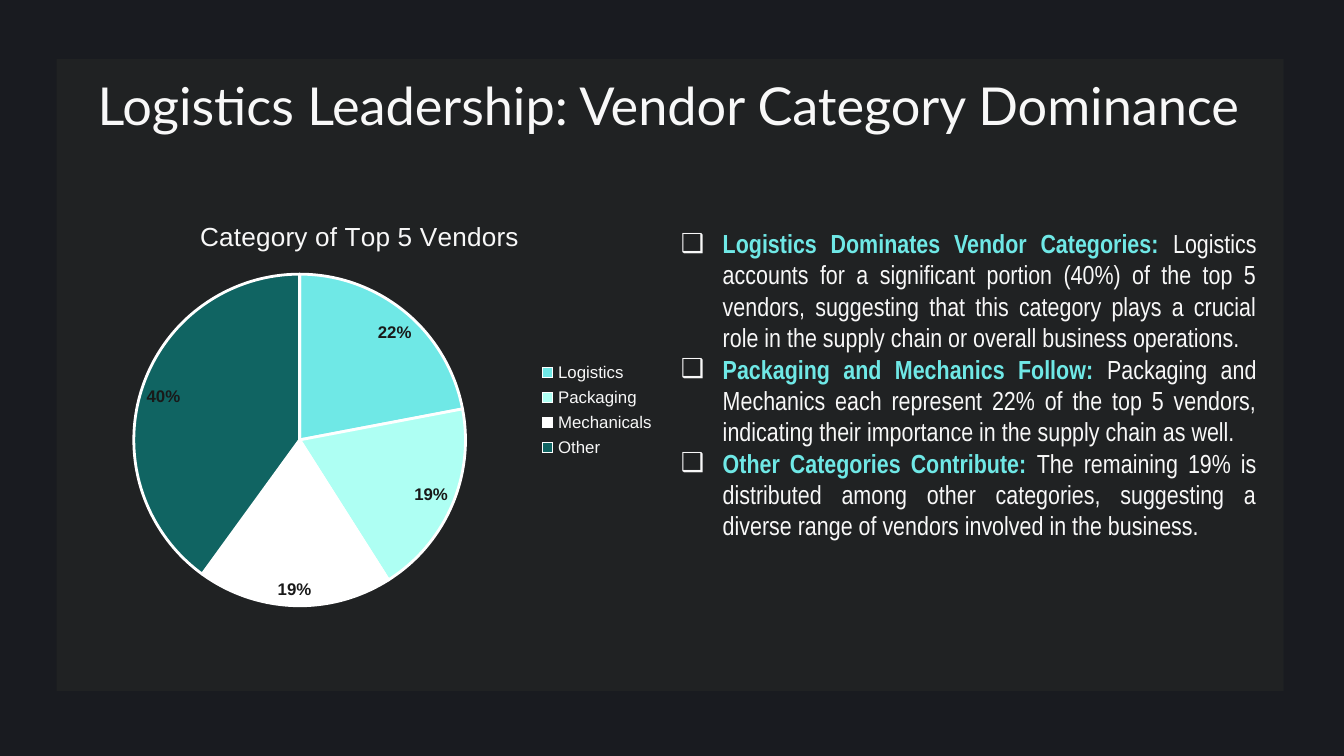
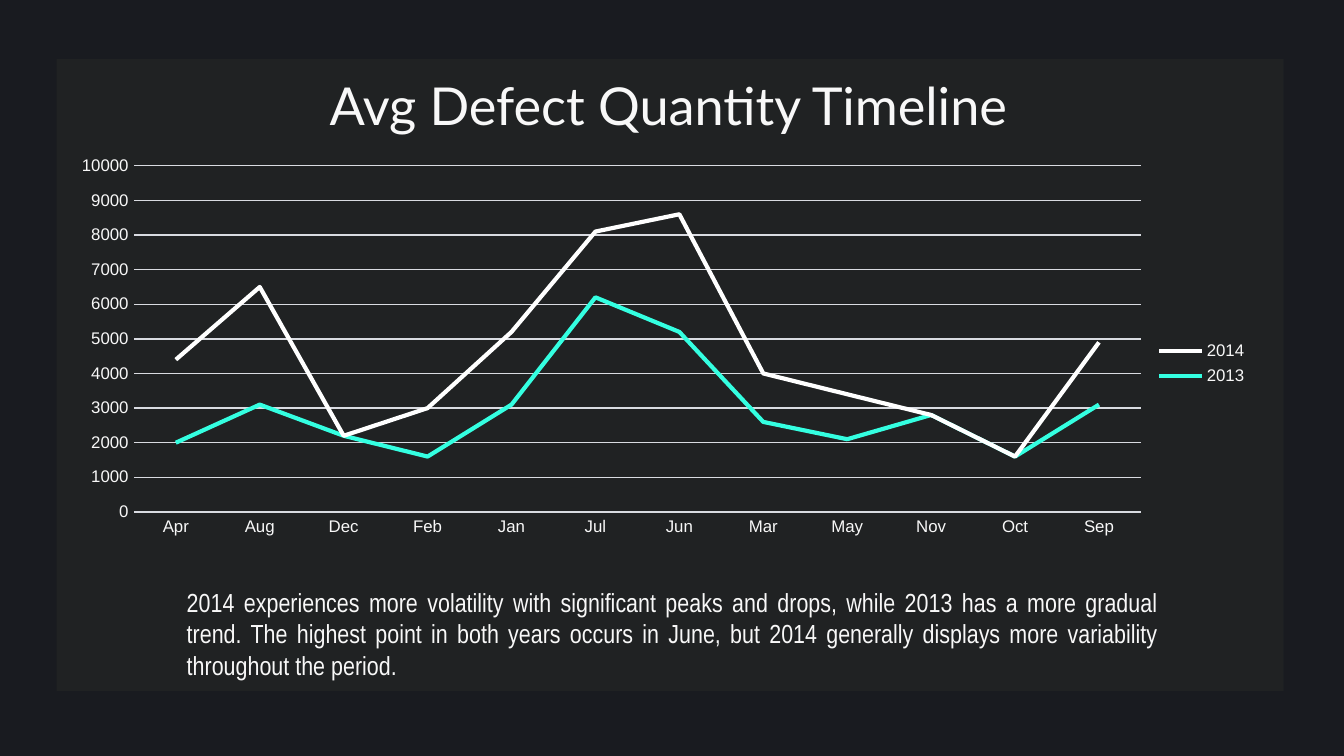
from dataclasses import dataclass

import lxml.etree
import pptx
import pptx.chart.data
import pptx.dml.color
import pptx.enum.chart
import pptx.enum.shapes
import pptx.enum.text
import pptx.oxml.ns
import pptx.util

Cm = pptx.util.Cm
Pt = pptx.util.Pt
qn = pptx.oxml.ns.qn
ALIGN = pptx.enum.text.PP_ALIGN
CHART = pptx.enum.chart.XL_CHART_TYPE


@dataclass(frozen=True)
class Theme:
    background: str = "191B20"
    panel: str = "222525"
    panel_opacity: int = 78
    light: str = "F8F8F8"
    white: str = "FFFFFF"
    accent: str = "6FE8E6"
    mint: str = "AEFFF3"
    teal: str = "106462"
    turquoise: str = "34FFE1"
    grid: str = "D9DBE1"
    label: str = "191919"
    title_font: str = "Lato"
    body_font: str = "Arial Narrow"
    chart_font: str = "Arial"
    title_size: int = 28
    body_size: int = 14
    chart_title_size: int = 14
    chart_size: int = 9


THEME = Theme()

VENDOR_SHARES = {
    "Logistics": (0.22, THEME.accent),
    "Packaging": (0.19, THEME.mint),
    "Mechanicals": (0.19, THEME.white),
    "Other": (0.4, THEME.teal),
}
VENDOR_FINDINGS = [
    ("Logistics Dominates Vendor Categories: ",
     "Logistics accounts for a significant portion (40%) of the top 5 vendors, "
     "suggesting that this category plays a crucial role in the supply chain or "
     "overall business operations."),
    ("Packaging and Mechanics Follow: ",
     "Packaging and Mechanics each represent 22% of the top 5 vendors, "
     "indicating their importance in the supply chain as well."),
    ("Other Categories Contribute: ",
     "The remaining 19% is distributed among other categories, suggesting a "
     "diverse range of vendors involved in the business."),
]
MONTHS = ["Apr", "Aug", "Dec", "Feb", "Jan", "Jul",
          "Jun", "Mar", "May", "Nov", "Oct", "Sep"]
DEFECTS = {
    "2013": ([2000, 3100, 2200, 1600, 3100, 6200,
              5200, 2600, 2100, 2800, 1600, 3100], THEME.turquoise),
    "2014": ([2400, 3400, None, 1400, 2100, 1900,
              3400, 1400, 1300, None, None, 1800], THEME.white),
}
DEFECT_SUMMARY = (
    "2014 experiences more volatility with significant peaks and drops, while "
    "2013 has a more gradual trend. The highest point in both years occurs in "
    "June, but 2014 generally displays more variability throughout the period."
)


def rgb(color):
    return pptx.dml.color.RGBColor.from_string(color)


def paint(fill, color):
    fill.solid()
    fill.fore_color.rgb = rgb(color)


def style_font(font, name, size, color, bold=False):
    font.name = name
    font.size = Pt(size)
    font.bold = bold
    font.color.rgb = rgb(color)


def chart_type(font, size=THEME.chart_size, color=THEME.light, bold=False):
    style_font(font, THEME.chart_font, size, color, bold)


def style_line(line, color, width):
    paint(line.fill, color)
    line.width = Pt(width)


def add_bullet(paragraph):
    properties = paragraph._p.get_or_add_pPr()
    properties.set("marL", str(Cm(0.79)))
    properties.set("indent", str(Cm(-0.79)))
    color = lxml.etree.SubElement(properties, qn("a:buClr"))
    lxml.etree.SubElement(color, qn("a:srgbClr"), val=THEME.light)
    lxml.etree.SubElement(properties, qn("a:buFont"), typeface=THEME.chart_font)
    lxml.etree.SubElement(properties, qn("a:buChar"), char="❑")


def add_text(slide, box, paragraphs, font, size, align, inset=0.13, bullets=False):
    frame = slide.shapes.add_textbox(*map(Cm, box)).text_frame
    frame.word_wrap = True
    frame.margin_top = frame.margin_bottom = Cm(inset)
    for index, pieces in enumerate(paragraphs):
        paragraph = frame.add_paragraph() if index else frame.paragraphs[0]
        paragraph.alignment = align
        if bullets:
            add_bullet(paragraph)
        for text, color, bold in pieces:
            run = paragraph.add_run()
            run.text = text
            style_font(run.font, font, size, color, bold)


def set_layout(parent, **fractions):
    layout = parent.find(qn("c:layout"))
    if layout is None:
        layout = lxml.etree.Element(qn("c:layout"))
        parent.insert(0, layout)
    manual = lxml.etree.SubElement(layout, qn("c:manualLayout"))
    if "w" in fractions:
        lxml.etree.SubElement(manual, qn("c:layoutTarget"), val="inner")
    for side in "xy":
        lxml.etree.SubElement(manual, qn(f"c:{side}Mode"), val="edge")
    for side, fraction in fractions.items():
        lxml.etree.SubElement(manual, qn(f"c:{side}"), val=str(fraction))


def add_chart(slide, box, kind, categories, series, number_format):
    data = pptx.chart.data.CategoryChartData(number_format=number_format)
    data.categories = categories
    for name, values in series.items():
        data.add_series(name, values)
    chart = slide.shapes.add_chart(kind, *map(Cm, box), data).chart
    chart_type(chart.font)
    chart.has_title = False
    chart.has_legend = True
    chart.legend.position = pptx.enum.chart.XL_LEGEND_POSITION.RIGHT
    chart.legend.include_in_layout = False
    chart_type(chart.legend.font)
    return chart


def add_vendor_pie(slide, box):
    shares = [share for share, _ in VENDOR_SHARES.values()]
    chart = add_chart(slide, box, CHART.PIE, list(VENDOR_SHARES),
                      {"Series 1": shares}, "0%")
    heading = chart.chart_title
    heading.text_frame.text = "Category of Top 5 Vendors"
    chart_type(heading.text_frame.paragraphs[0].runs[0].font, THEME.chart_title_size)
    set_layout(heading._element, x=0.23, y=0.04)
    set_layout(chart.element.find(".//" + qn("c:plotArea")),
               x=0.13, y=0.18, w=0.54, h=0.78)

    pie = chart.plots[0]
    pie.vary_by_categories = True
    for index, (_, color) in enumerate(VENDOR_SHARES.values()):
        slice_format = pie.series[0].points[index].format
        paint(slice_format.fill, color)
        style_line(slice_format.line, THEME.white, 1.5)
    pie.has_data_labels = True
    labels = pie.data_labels
    labels.show_value = True
    labels.show_percentage = False
    labels.number_format = "0%"
    labels.number_format_is_linked = False
    labels.position = pptx.enum.chart.XL_LABEL_POSITION.BEST_FIT
    chart_type(labels.font, color=THEME.label, bold=True)


def add_defect_lines(slide, box):
    chart = add_chart(slide, box, CHART.LINE_STACKED, MONTHS,
                      {year: values for year, (values, _) in DEFECTS.items()}, "0")
    set_layout(chart.element.find(".//" + qn("c:plotArea")),
               x=0.06, y=0.02, w=0.84, h=0.84)
    chart.element.find(".//" + qn("c:dispBlanksAs")).set("val", "zero")
    chart.plots[0].vary_by_categories = False
    for series, (_, color) in zip(chart.plots[0].series, DEFECTS.values()):
        series.smooth = False
        series.marker.style = pptx.enum.chart.XL_MARKER_STYLE.NONE
        style_line(series.format.line, color, 2.25)

    months, quantity = chart.category_axis, chart.value_axis
    for axis in (months, quantity):
        axis.major_tick_mark = pptx.enum.chart.XL_TICK_MARK.NONE
        axis.minor_tick_mark = pptx.enum.chart.XL_TICK_MARK.NONE
        chart_type(axis.tick_labels.font)
    months.has_major_gridlines = False
    style_line(months.format.line, THEME.grid, 0.75)
    quantity.minimum_scale = 0
    quantity.maximum_scale = 10000
    quantity.major_unit = 1000
    quantity.tick_labels.number_format = "0"
    quantity.tick_labels.number_format_is_linked = False
    quantity.format.line.fill.background()
    quantity.has_major_gridlines = True
    style_line(quantity.major_gridlines.format.line, THEME.grid, 0.75)


def add_panel(slide, box):
    panel = slide.shapes.add_shape(
        pptx.enum.shapes.MSO_SHAPE.RECTANGLE, *map(Cm, box))
    panel.shadow.inherit = False
    panel.line.fill.background()
    paint(panel.fill, THEME.panel)
    tone = panel._element.spPr.find(".//" + qn("a:srgbClr"))
    lxml.etree.SubElement(tone, qn("a:alpha"), val=str(THEME.panel_opacity * 1000))


def add_framed_slide(deck, title, title_height):
    slide = deck.slides.add_slide(deck.slide_layouts[6])
    paint(slide.background.fill, THEME.background)
    add_panel(slide, (1.07, 1.12, 23.19, 11.94))
    add_text(slide, (1.02, 1.14, 23.22, title_height),
             [[(title, THEME.light, False)]],
             THEME.title_font, THEME.title_size, ALIGN.CENTER, inset=0.25)
    return slide


def add_body(slide, box, paragraphs, bullets=False):
    add_text(slide, box, paragraphs, THEME.body_font, THEME.body_size,
             ALIGN.JUSTIFY, bullets=bullets)


def build_vendor_slide(deck):
    slide = add_framed_slide(
        deck, "Logistics Leadership: Vendor Category Dominance", 2.59)
    findings = [[(lead, THEME.accent, True), (detail, THEME.light, False)]
                for lead, detail in VENDOR_FINDINGS]
    add_body(slide, (12.62, 4.17, 11.38, 8.03), findings, bullets=True)
    add_vendor_pie(slide, (1.02, 3.73, 11.61, 8.05))


def build_defect_slide(deck):
    slide = add_framed_slide(deck, "Avg Defect Quantity Timeline", 1.6)
    add_body(slide, (3.28, 10.95, 18.87, 2.06),
             [[(DEFECT_SUMMARY, THEME.light, False)]])
    add_defect_lines(slide, (1.17, 2.95, 22.66, 7.82))


def main():
    deck = pptx.Presentation()
    deck.slide_width = Cm(25.4)
    deck.slide_height = Cm(14.29)
    build_vendor_slide(deck)
    build_defect_slide(deck)
    deck.save("out.pptx")


if __name__ == "__main__":
    main()
